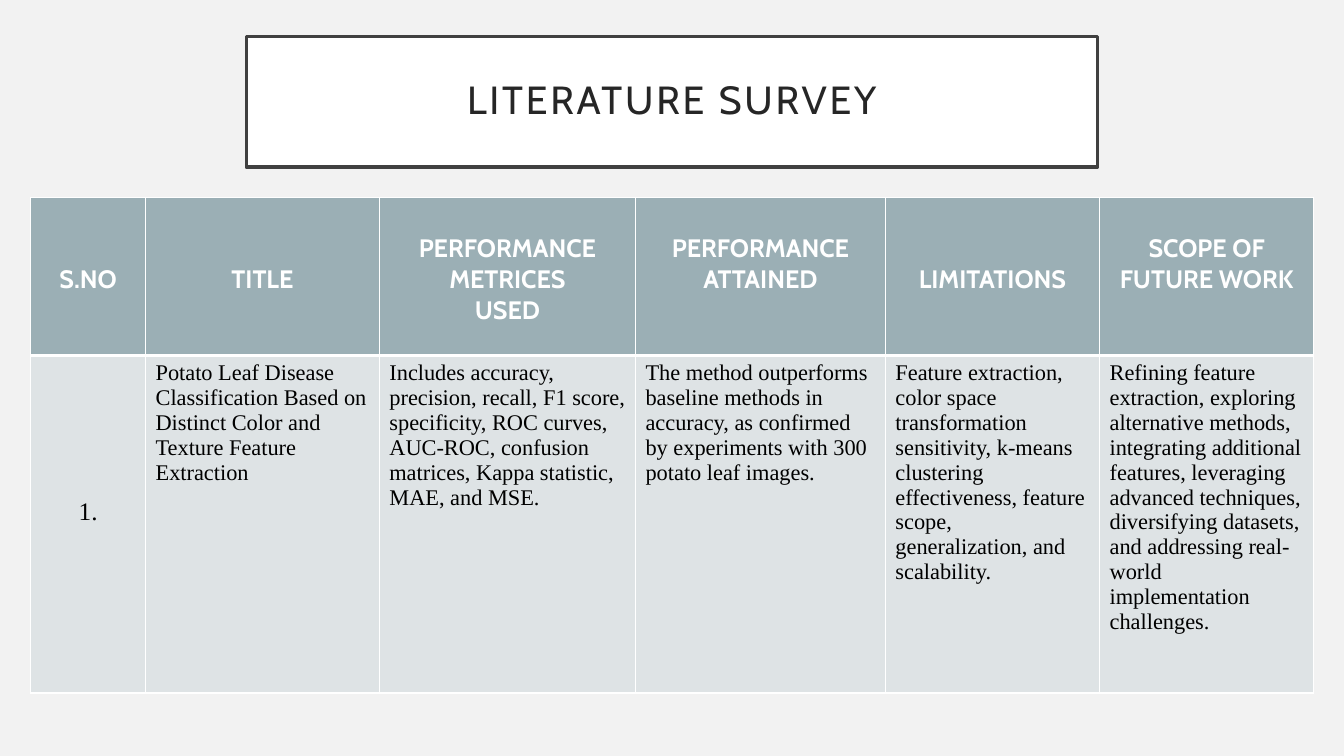
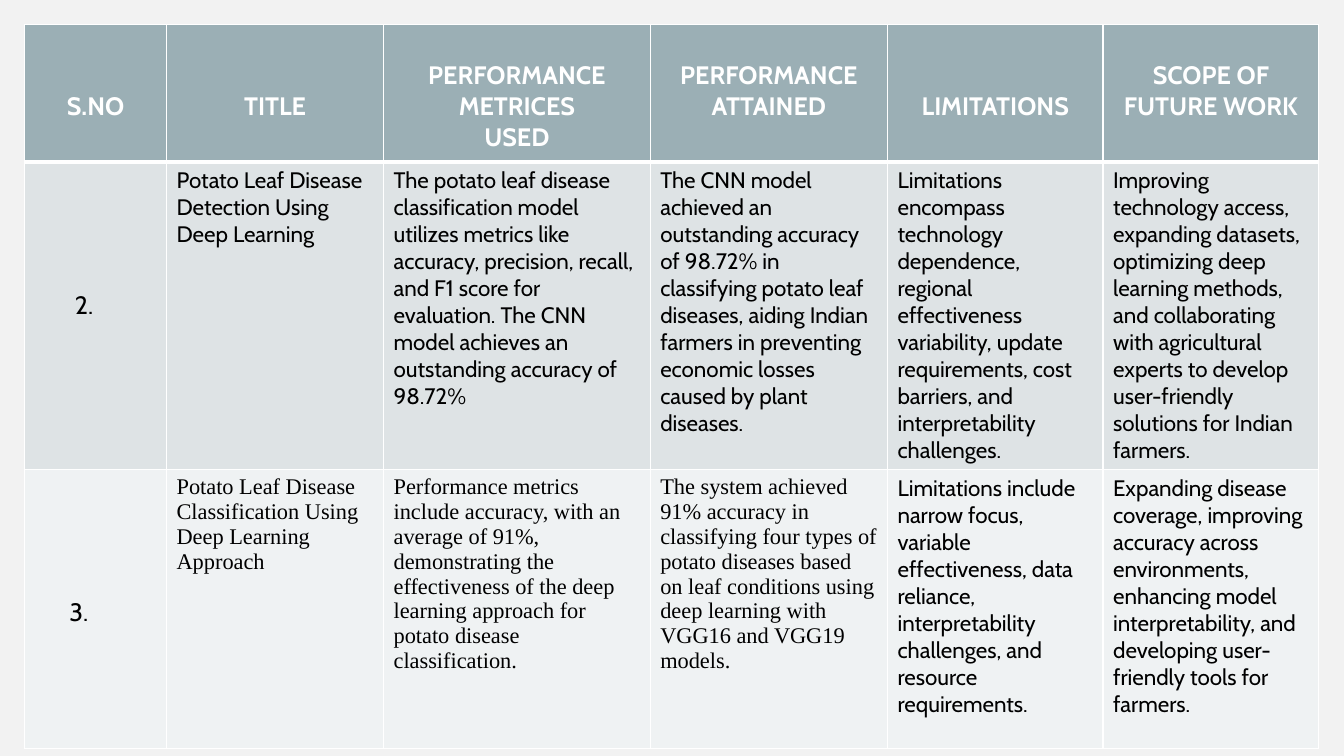
from pptx import Presentation
from pptx.dml.color import RGBColor
from pptx.enum.shapes import MSO_SHAPE
from pptx.enum.text import MSO_ANCHOR, PP_ALIGN
from pptx.oxml.ns import qn
from pptx.util import Pt
from lxml.etree import SubElement

# Shared look
SANS, SERIF = "Cabin", "Times New Roman"
BACKGROUND, WHITE, BLACK = "F2F2F2", "FFFFFF", "000000"
TITLE_LINE, TITLE_TEXT = "404040", "262626"
HEADER_FILL, BODY_FILLS = "9BAFB5", ["DEE3E5", "EFF2F3"]
HEADER_SIZE, BODY_SIZE = 18, 16
HEADER_LINE_HEIGHT, CELL_MARGIN = 22, 3.6

# Header text and the number of lines it is moved down
HEADERS = [
    ("S.NO", 2),
    ("TITLE", 2),
    ("PERFORMANCE METRICES\nUSED", 1),
    ("PERFORMANCE ATTAINED", 1),
    ("LIMITATIONS", 2),
    ("SCOPE OF FUTURE WORK", 1),
]

# One entry per slide; number_margins are the left and top margins of the number
SURVEYS = [
    {
        "title": "LITERATURE SURVEY",
        "left": 22, "top": 141,
        "columns": [82, 167, 183, 178.5, 153, 153],
        "heights": [113, 241],
        "rows": [
            {
                "fonts": [SERIF] * 6,
                "number_margins": (7.2, 102),
                "number_align": PP_ALIGN.CENTER,
                "texts": [
                    "1.",
                    "Potato Leaf Disease Classification Based on Distinct Color and "
                    "Texture Feature Extraction",
                    "Includes accuracy, precision, recall, F1 score, specificity, ROC curves, "
                    "AUC-ROC, confusion matrices, Kappa statistic, MAE, and MSE.",
                    "The method outperforms baseline methods in accuracy, as confirmed by "
                    "experiments with 300 potato leaf images.",
                    "Feature extraction, color space transformation sensitivity, k-means "
                    "clustering effectiveness, feature scope, generalization, and scalability.",
                    "Refining feature extraction, exploring alternative methods, integrating "
                    "additional features, leveraging advanced techniques, diversifying datasets, "
                    "and addressing real-world implementation challenges.",
                ],
            },
        ],
    },
    {
        "title": None,
        "left": 17.5, "top": 17.5,
        "columns": [101.5, 155, 190.5, 169.5, 154, 154],
        "heights": [98, 218, 199.5],
        "rows": [
            {
                "fonts": [SANS] * 6,
                "number_margins": (36, 91.5),
                "number_align": PP_ALIGN.LEFT,
                "texts": [
                    "2.",
                    "Potato Leaf Disease Detection Using Deep Learning",
                    "The potato leaf disease classification model utilizes metrics like accuracy, "
                    "precision, recall, and F1 score for evaluation. The CNN model achieves an "
                    "outstanding accuracy of 98.72%",
                    "The CNN model achieved an outstanding accuracy of 98.72% in classifying "
                    "potato leaf diseases, aiding Indian farmers in preventing economic losses "
                    "caused by plant diseases.",
                    "Limitations encompass technology dependence, regional effectiveness "
                    "variability, update requirements, cost barriers, and interpretability "
                    "challenges.",
                    "Improving technology access, expanding datasets, optimizing deep learning "
                    "methods, and collaborating with agricultural experts to develop "
                    "user-friendly solutions for Indian farmers.",
                ],
            },
            {
                "fonts": [SANS, SERIF, SERIF, SERIF, SANS, SANS],
                "number_margins": (32, 91.5),
                "number_align": PP_ALIGN.LEFT,
                "texts": [
                    "3.",
                    "Potato Leaf Disease Classification Using Deep Learning Approach",
                    "Performance metrics include accuracy, with an average of 91%, demonstrating "
                    "the effectiveness of the deep learning approach for potato disease "
                    "classification.",
                    "The system achieved 91% accuracy in classifying four types of potato "
                    "diseases based on leaf conditions using deep learning with VGG16 and VGG19 "
                    "models.",
                    "Limitations include narrow focus, variable effectiveness, data reliance, "
                    "interpretability challenges, and resource requirements.",
                    "Expanding disease coverage, improving accuracy across environments, "
                    "enhancing model interpretability, and developing user-friendly tools for "
                    "farmers.",
                ],
            },
        ],
    },
]


def color(hex_string):
    return RGBColor.from_string(hex_string)


def fill_cell(cell, text, font, size, text_color, fill, align, bold, top_line, bottom_line):
    """Write one table cell with its text format, borders and fill."""
    cell.text_frame.text = text
    for para in cell.text_frame.paragraphs:
        para.alignment = align
        for span in para.runs:
            span.font.name = font
            span.font.size = Pt(size)
            span.font.bold = bold
            span.font.color.rgb = color(text_color)
    properties = cell._tc.get_or_add_tcPr()
    for side, width in (("L", 1), ("R", 1), ("T", top_line), ("B", bottom_line)):
        line = SubElement(properties, qn("a:ln" + side), w=str(Pt(width)))
        SubElement(SubElement(line, qn("a:solidFill")), qn("a:srgbClr"), val=WHITE)
    cell.fill.solid()
    cell.fill.fore_color.rgb = color(fill)


deck = Presentation()
deck.slide_width, deck.slide_height = Pt(960), Pt(540)

for survey in SURVEYS:
    page = deck.slides.add_slide(deck.slide_layouts[6])
    page.background.fill.solid()
    page.background.fill.fore_color.rgb = color(BACKGROUND)

    # Framed title
    if survey["title"]:
        box = page.shapes.add_shape(MSO_SHAPE.RECTANGLE, Pt(176), Pt(26), Pt(608), Pt(93.5))
        box.shadow.inherit = False
        box.fill.solid()
        box.fill.fore_color.rgb = color(WHITE)
        box.line.color.rgb = color(TITLE_LINE)
        box.line.width = Pt(2.5)
        frame = box.text_frame
        frame.text = survey["title"]
        frame.word_wrap = True
        frame.vertical_anchor = MSO_ANCHOR.MIDDLE
        para = frame.paragraphs[0]
        para.alignment = PP_ALIGN.CENTER
        para.line_spacing = 0.9
        span = para.runs[0]
        span.font.name = SANS
        span.font.size = Pt(28)
        span.font.color.rgb = color(TITLE_TEXT)
        span.font._element.set("spc", "200")

    # Table grid
    columns, heights = survey["columns"], survey["heights"]
    table = page.shapes.add_table(
        len(heights), len(columns), Pt(survey["left"]), Pt(survey["top"]),
        Pt(sum(columns)), Pt(sum(heights))).table
    table.first_row = table.horz_banding = False
    for column, width in zip(table.columns, columns):
        column.width = Pt(width)
    for row, height in zip(table.rows, heights):
        row.height = Pt(height)

    # Header row
    for column_index, (text, lines_down) in enumerate(HEADERS):
        cell = table.cell(0, column_index)
        fill_cell(cell, text, SANS, HEADER_SIZE, WHITE, HEADER_FILL,
                  PP_ALIGN.CENTER, True, 1, 3)
        cell.margin_top = Pt(CELL_MARGIN + lines_down * HEADER_LINE_HEIGHT)

    # Body rows
    for row_index, entry in enumerate(survey["rows"], start=1):
        for column_index, (text, font) in enumerate(zip(entry["texts"], entry["fonts"])):
            is_number = column_index == 0
            cell = table.cell(row_index, column_index)
            fill_cell(cell, text, font, HEADER_SIZE if is_number else BODY_SIZE, BLACK,
                      BODY_FILLS[row_index - 1],
                      entry["number_align"] if is_number else PP_ALIGN.LEFT,
                      False, 3 if row_index == 1 else 1, 1)
            if is_number:
                left_margin, top_margin = entry["number_margins"]
                cell.margin_left, cell.margin_top = Pt(left_margin), Pt(top_margin)

deck.save("out.pptx")
